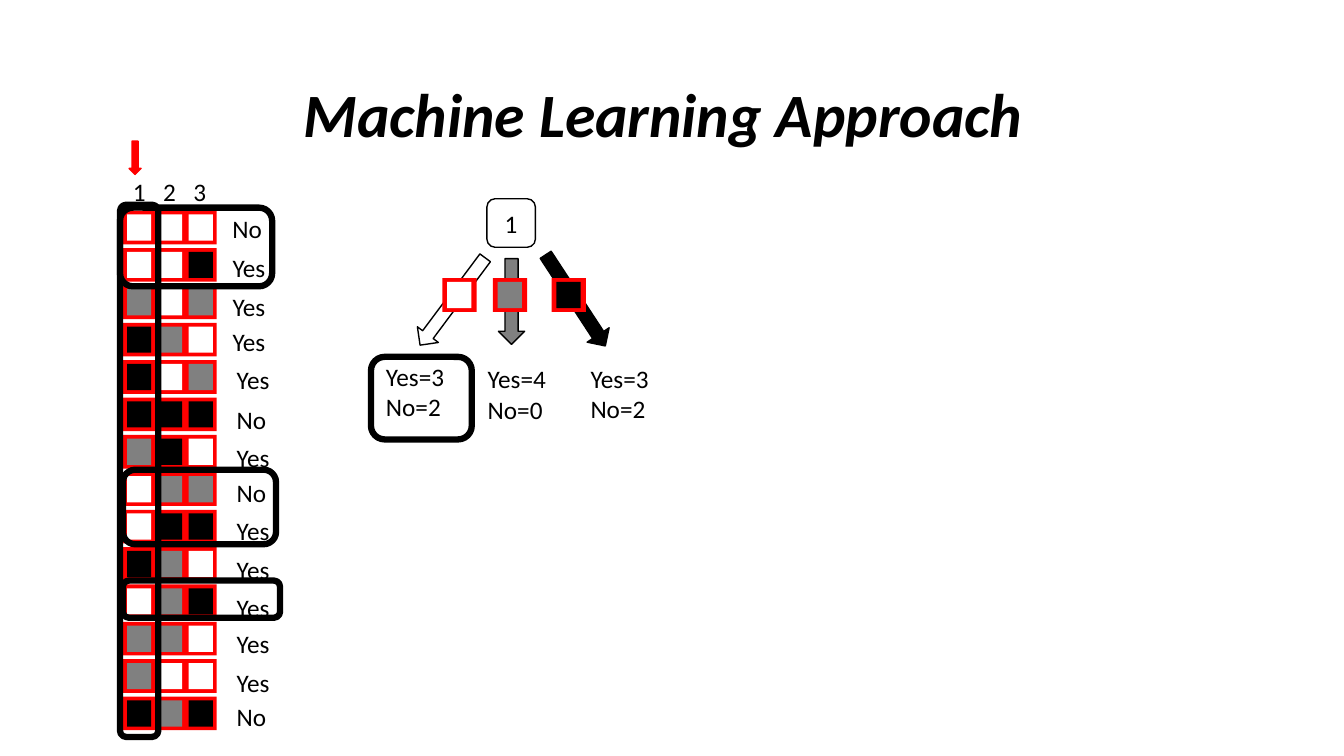
from pptx import Presentation
from pptx.dml.color import RGBColor
from pptx.enum.shapes import MSO_SHAPE as Form
from pptx.enum.text import MSO_ANCHOR as Anchor, MSO_AUTO_SIZE as Fit, PP_ALIGN as Align
from pptx.util import Pt

RED, BLACK, GREY, WHITE = "FF0000", "000000", "808080", "FFFFFF"
TONES = {"W": WHITE, "G": GREY, "B": BLACK}


def paint(code):
    return RGBColor.from_string(code)


class Deck:
    """Draws styled elements on the current slide, with lengths in points."""

    def __init__(self, width, height):
        self.show = Presentation()
        self.show.slide_width, self.show.slide_height = Pt(width), Pt(height)
        self.slide = self.show.slides.add_slide(self.show.slide_layouts[5])
        self.style = {"name": "Calibri", "size": Pt(18), "bold": False, "italic": False}

    def letter(self, frame, text, align, **extra):
        frame.text = text
        for para in frame.paragraphs:
            para.alignment = align
            for run in para.runs:
                for key, value in {**self.style, **extra}.items():
                    setattr(run.font, key, value)
                run.font.color.rgb = paint(BLACK)

    def title(self, text, *box):
        head = self.slide.shapes.title
        for key, value in zip(("left", "top", "width", "height"), box):
            setattr(head, key, Pt(value))
        frame = head.text_frame
        frame.vertical_anchor = Anchor.MIDDLE
        self.letter(frame, text, Align.CENTER, size=Pt(44), bold=True, italic=True)
        frame.paragraphs[0].line_spacing = 0.9

    def label(self, text, *box):
        frame = self.slide.shapes.add_textbox(*map(Pt, box)).text_frame
        frame.word_wrap = False
        frame.auto_size = Fit.SHAPE_TO_FIT_TEXT
        self.letter(frame, text, Align.LEFT)

    def shape(self, form, *box, fill=None, line=None, weight=1, turn=0, text=None):
        item = self.slide.shapes.add_shape(form, *map(Pt, box))
        item.shadow.inherit = False
        item.rotation = turn
        if fill:
            item.fill.solid()
            item.fill.fore_color.rgb = paint(fill)
        else:
            item.fill.background()
        if line:
            item.line.color.rgb = paint(line)
            item.line.width = Pt(weight)
        else:
            item.line.fill.background()
        if text:
            item.text_frame.vertical_anchor = Anchor.MIDDLE
            self.letter(item.text_frame, text, Align.CENTER)

    def tile(self, left, top, tones, step=22):
        width = 24.5 if len(tones) == 1 else 67
        inset = 3.5 if len(tones) == 1 else 3
        self.shape(Form.RECTANGLE, left, top, width, 24, fill=RED)
        for col, tone in enumerate(tones):
            self.shape(Form.RECTANGLE, left + inset + col * step, top + 2.7, 17.3, 18.7,
                       fill=TONES[tone])

    def ring(self, *box):
        self.shape(Form.ROUNDED_RECTANGLE, *box, line=BLACK, weight=4.5)


def main():
    deck = Deck(960, 540)
    deck.title("Machine Learning Approach ", 65, 31.5, 828, 104.5)

    cases = [
        ("WWW", "No", 149), ("WWB", "Yes", 177), ("GWG", "Yes", 204.5),
        ("BGW", "Yes", 229.7), ("BWG", "Yes", 257), ("BBB", "No", 285),
        ("GBW", "Yes", 312.5), ("WGG", "No", 337.7), ("WBB", "Yes", 364.3),
        ("BGW", "Yes", 392.4), ("WGB", "Yes", 419.8), ("GGW", "Yes", 445),
        ("GWW", "Yes", 473), ("BGB", "No", 497.5),
    ]
    for row, (tones, answer, top) in enumerate(cases):
        deck.label(answer, 159 if row < 4 else 162, top, 38 if answer == "Yes" else 36, 29)
        deck.tile(87.8, 150.5 + 26.7 * row, tones)
    for col in range(3):
        deck.label(str(col + 1), 87.8 + 21.6 * col, 122.4, 23.5, 29)

    deck.shape(Form.ROUNDED_RECTANGLE, 347.8, 142, 34.6, 34.6,
               fill=WHITE, line=BLACK, text="1")
    branches = [
        ("W", (284.4, 206, 77.8, 18.7), 306.7, 316, "Yes=3\nNo=2", 268.6, 254.2),
        ("G", (334.8, 206, 61.2, 18.7), 270, 352, "Yes=4\nNo=0", 341.3, 256.3),
        ("B", (372.2, 205.2, 77.8, 18.7), 236.8, 394, "Yes=3\nNo=2", 414.7, 255.6),
    ]
    for tone, arrow, turn, left, count, x, y in branches:
        deck.shape(Form.LEFT_ARROW, *arrow, fill=TONES[tone], line=BLACK, turn=turn)
        deck.tile(left, 198.7, tone)
        deck.label(count, x, y, 57, 51)

    for box in [(85.7, 148.3, 108.7, 56.2), (87.8, 414.7, 112.3, 26.6),
                (87.8, 335.5, 109.4, 53.3), (265, 254.9, 72, 59),
                (85.7, 146.2, 27.4, 380.2)]:
        deck.ring(*box)
    deck.shape(Form.DOWN_ARROW, 92.2, 100.8, 8.6, 23.8, fill=RED, line=RED)
    deck.show.save("out.pptx")


if __name__ == "__main__":
    main()
